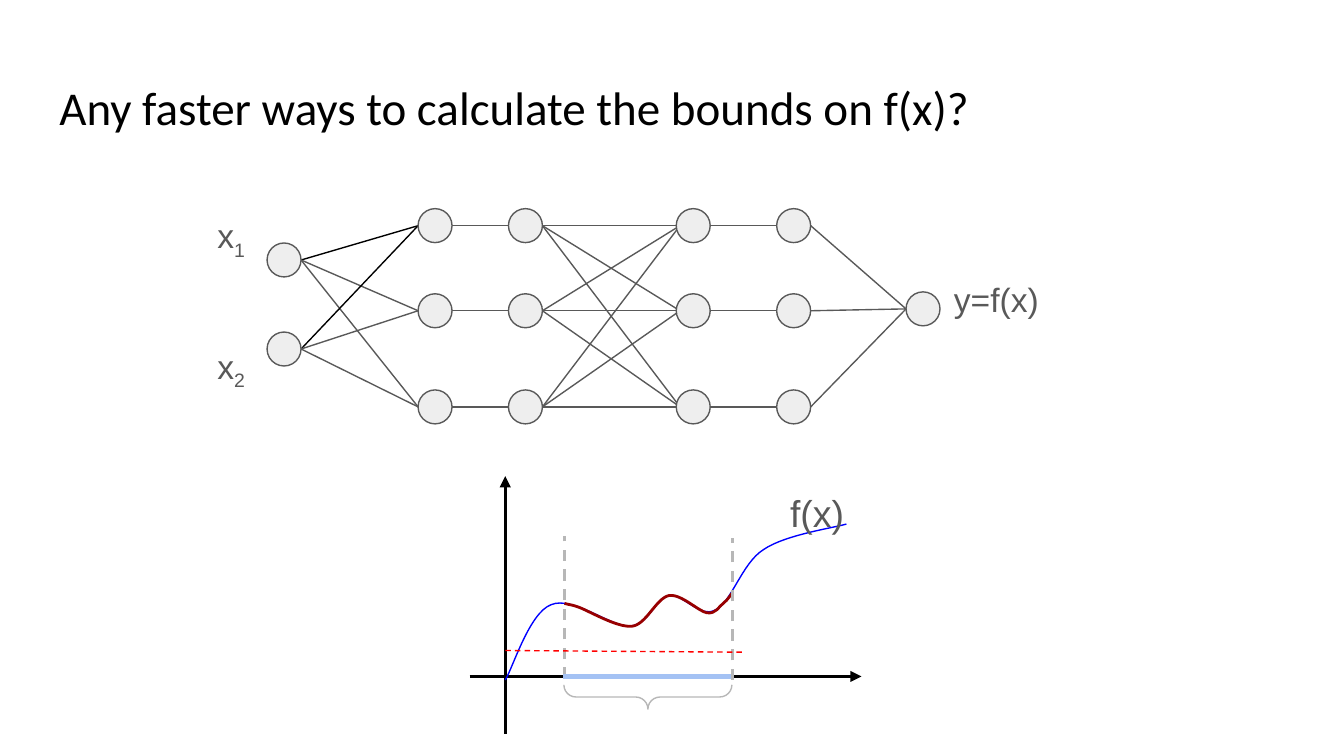
from lxml import etree
from pptx import Presentation
from pptx.dml.color import RGBColor
from pptx.enum import dml, shapes, text
from pptx.oxml.ns import qn
from pptx.util import Pt

BLACK = RGBColor(0x00, 0x00, 0x00)
GRAY = RGBColor(0x59, 0x59, 0x59)
NODE_FILL = RGBColor(0xEE, 0xEE, 0xEE)
LIGHT_GRAY = RGBColor(0xB7, 0xB7, 0xB7)
BLUE = RGBColor(0x00, 0x00, 0xFF)
PALE_BLUE = RGBColor(0xA4, 0xC2, 0xF4)
DARK_RED = RGBColor(0x98, 0x00, 0x00)
RED = RGBColor(0xFF, 0x00, 0x00)

# Network: each layer is (centre x, centre ys of its nodes)
NODE = 18.2
ROWS = (120.9, 166.5, 218)
LAYERS = [
    (152.2, (139.3, 187)),
    (233.1, ROWS),
    (281.5, ROWS),
    (371.4, ROWS),
    (425.2, ROWS),
    (494.5, (165.5,)),
]
ONE_TO_ONE = {1, 3}  # layers whose nodes feed only the node in the same row
BLACK_EDGES = {(0, 0, 0), (0, 1, 0)}  # (layer, from row, to row)
OVERLAP = {2: 2}  # how far the edges of a layer run under the next nodes

# Text: left, top, width, height, size, font, colour, anchor, (words, subscript)
TOP, MIDDLE = text.MSO_ANCHOR.TOP, text.MSO_ANCHOR.MIDDLE
LABELS = [
    (24.7, 34.5, 671, 45.4, 25.2, "Calibri", BLACK, MIDDLE,
     ("Any faster ways to calculate the bounds on f(x)?", "")),
    (109.4, 108, 33.8, 27.4, 18, "Arial", GRAY, TOP, ("x", "1")),
    (109.4, 178.1, 33.8, 27.4, 18, "Arial", GRAY, TOP, ("x", "2")),
    (504, 142.2, 67, 36, 18, "Arial", GRAY, TOP, ("y=f(x)", "")),
    (416.2, 255.2, 45.4, 38.9, 20, "Arial", GRAY, TOP, ("f(x)", "")),
]

# Plot curves: start point, then Bezier segments (control, control, end)
FUNCTION = [
    (270.7, 364.3),
    ((275, 357.1), (283.7, 328.3), (295.2, 324)),
    ((306.7, 319), (327.6, 336.2), (337.7, 335.5)),
    ((348.5, 334.1), (350.6, 320.4), (358.6, 319)),
    ((365.8, 318.2), (375.1, 331.2), (383, 326.9)),
    ((391.7, 323.3), (397.4, 301.7), (409, 294.5)),
    ((420.5, 286.6), (445.7, 283), (453.4, 280.8)),
]
BOUNDED_PART = [
    (302.4, 323.3),
    ((303.8, 324), (304.6, 323.3), (310.3, 325.4)),
    ((316.1, 327.6), (330.5, 336.2), (338.4, 335.5)),
    ((346.3, 334.8), (351.4, 320.4), (358.6, 319)),
    ((365, 318.2), (374.4, 327.6), (378.7, 328.3)),
    ((383.8, 329), (385.2, 324.7), (387.4, 323.3)),
    ((390.2, 321.1), (391.7, 318.2), (392.4, 317.5)),
]

prs = Presentation()
prs.slide_width, prs.slide_height = Pt(720), Pt(405)
s = prs.slides.add_slide(prs.slide_layouts[6])


def add_line(start, end, color, width=0.75, dash=False, arrow=False):
    c = s.shapes.add_connector(shapes.MSO_CONNECTOR.STRAIGHT,
                               *map(Pt, (*start, *end)))
    c.line.color.rgb = color
    c.line.width = Pt(width)
    if dash:
        c.line.dash_style = dml.MSO_LINE.DASH
    if arrow:
        etree.SubElement(c.line._get_or_add_ln(), qn("a:tailEnd"), type="triangle")
    etree.SubElement(c._element.spPr, qn("a:effectLst"))


def style(sp, color, width=0.75, fill=None):
    sp.shadow.inherit = False
    if fill is None:
        sp.fill.background()
    else:
        sp.fill.solid()
        sp.fill.fore_color.rgb = fill
    sp.line.color.rgb = color
    sp.line.width = Pt(width)


def add_curve(curve, color, width):
    start, *segments = curve
    builder = s.shapes.build_freeform(*map(Pt, start))
    builder.add_line_segments([tuple(map(Pt, seg[-1])) for seg in segments],
                              close=False)
    sp = builder.convert_to_shape()
    # Turn each straight segment into a Bezier segment
    for ln, seg in zip(list(sp._element.iter(qn("a:lnTo"))), segments):
        bezier = etree.Element(qn("a:cubicBezTo"))
        for x, y in seg:
            etree.SubElement(bezier, qn("a:pt"),
                             x=str(Pt(x) - sp.left), y=str(Pt(y) - sp.top))
        ln.getparent().replace(ln, bezier)
    style(sp, color, width)


# Network edges
for n, ((x1, ys1), (x2, ys2)) in enumerate(zip(LAYERS, LAYERS[1:])):
    x_end = x2 - NODE / 2 + OVERLAP.get(n, 0)
    for i, y1 in enumerate(ys1):
        for j, y2 in enumerate(ys2):
            if n in ONE_TO_ONE and i != j:
                continue
            color = BLACK if (n, i, j) in BLACK_EDGES else GRAY
            add_line((x1 + NODE / 2, y1), (x_end, y2), color)

# Network nodes
for x, ys in LAYERS:
    for y in ys:
        sp = s.shapes.add_shape(shapes.MSO_SHAPE.OVAL, Pt(x - NODE / 2),
                                Pt(y - NODE / 2), Pt(NODE), Pt(NODE))
        style(sp, GRAY, fill=NODE_FILL)

# Plot: axes, function, input interval and lower bound
add_line((270.7, 393.1), (270.7, 255.1), BLACK, 1.5, arrow=True)
add_line((251.6, 362.4), (461.5, 362.4), BLACK, 1.5, arrow=True)
add_curve(FUNCTION, BLUE, 0.75)
add_line((302.4, 363.6), (302.4, 287.3), LIGHT_GRAY, 1.5, dash=True)
add_line((301.7, 362.4), (391.7, 362.4), PALE_BLUE, 3)
add_curve(BOUNDED_PART, DARK_RED, 1.5)
add_line((392.4, 364.3), (392.4, 288), LIGHT_GRAY, 1.5, dash=True)
brace = s.shapes.add_shape(shapes.MSO_SHAPE.LEFT_BRACE,
                           Pt(340.6), Pt(328.4), Pt(13), Pt(90))
brace.rotation = 270
brace.adjustments[0] = brace.adjustments[1] = 0.5
style(brace, LIGHT_GRAY)
add_line((270.7, 348.5), (397.4, 349.4), RED, dash=True)

# Title and labels
for left, top, width, height, size, font, color, anchor, (words, sub) in LABELS:
    tf = s.shapes.add_textbox(Pt(left), Pt(top), Pt(width), Pt(height)).text_frame
    tf.word_wrap = True
    tf.vertical_anchor = anchor
    tf.margin_left = tf.margin_right = tf.margin_top = tf.margin_bottom = Pt(7.2)
    p = tf.paragraphs[0]
    p.font.size, p.font.name, p.font.color.rgb = Pt(size), font, color
    p.add_run().text = words
    if sub:
        r = p.add_run()
        r.text = sub
        r._r.get_or_add_rPr().set("baseline", "-25000")

prs.save("out.pptx")
